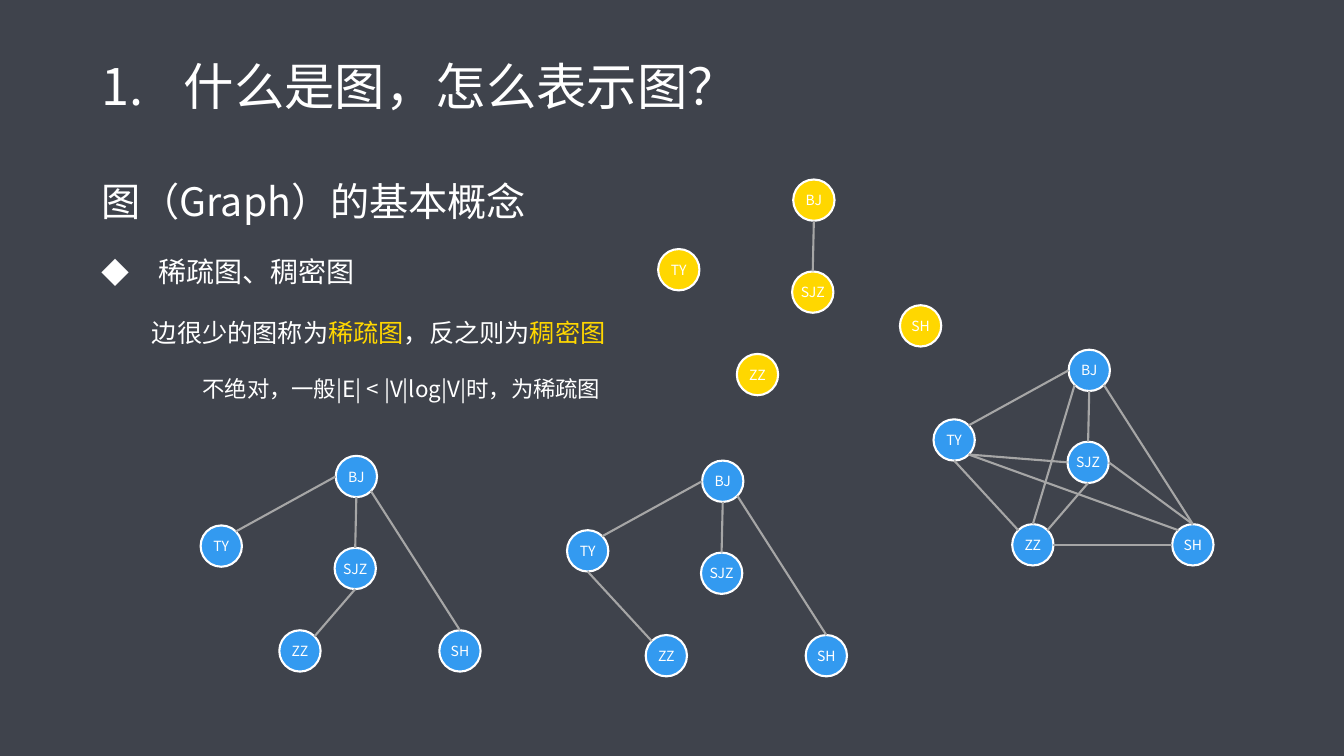
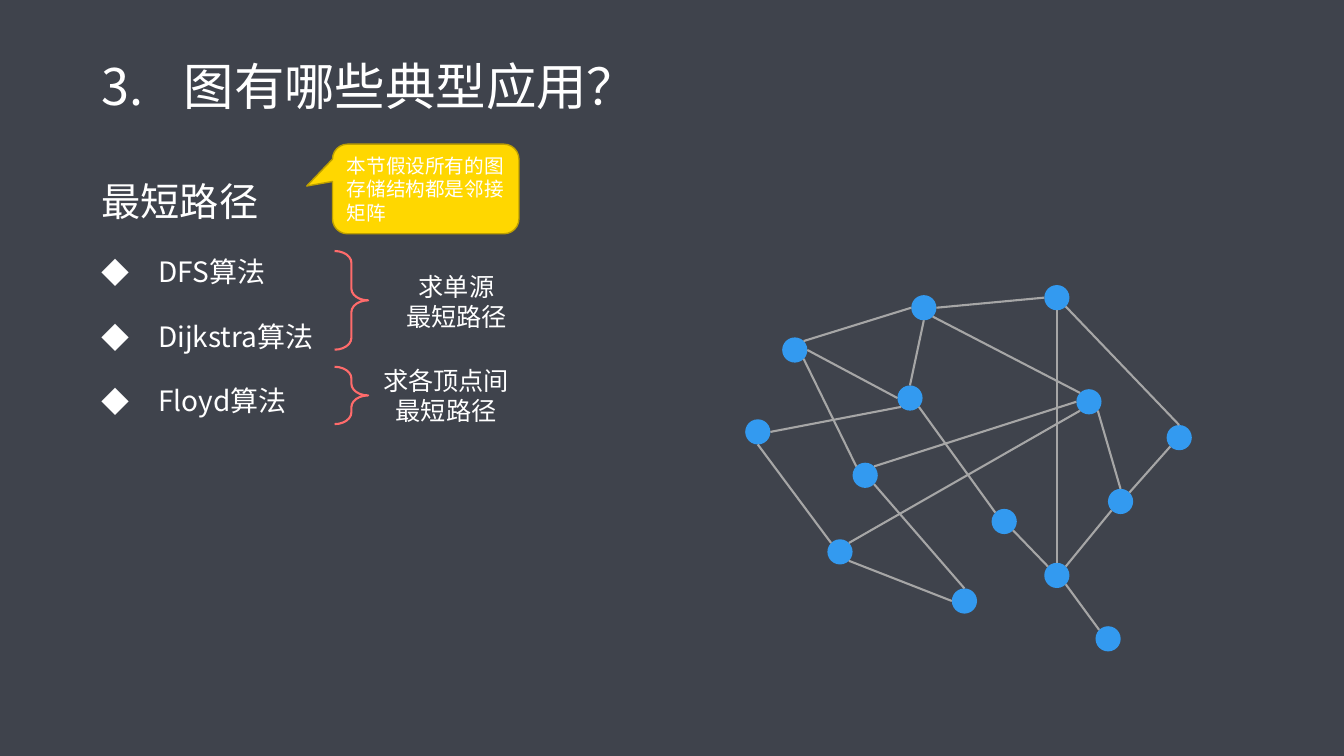
import math

from lxml import etree
from pptx import Presentation
from pptx.dml.color import RGBColor
from pptx.enum.shapes import MSO_CONNECTOR, MSO_SHAPE
from pptx.enum.text import MSO_ANCHOR, MSO_AUTO_SIZE, PP_ALIGN
from pptx.oxml.ns import qn
from pptx.util import Pt

STRAIGHT = MSO_CONNECTOR.STRAIGHT
OVAL = MSO_SHAPE.OVAL
BRACE = MSO_SHAPE.RIGHT_BRACE
CALLOUT = MSO_SHAPE.ROUNDED_RECTANGULAR_CALLOUT
MIDDLE = MSO_ANCHOR.MIDDLE
NO_AUTOFIT = MSO_AUTO_SIZE.NONE
LEFT, CENTER = PP_ALIGN.LEFT, PP_ALIGN.CENTER

FONT = "Noto Sans CJK SC"
COLORS = {
    "background": "3F434C",
    "text": "FFFFFF",
    "node": "339AF0",
    "highlight": "FFD700",
    "highlight_edge": "BD9F00",
    "edge": "A6A6A6",
    "brace": "FF6B6B",
}
TITLE_ONLY_LAYOUT = 5
LINE_WIDTH = 1.5
# Connection sites of an ellipse, in order
SITES = ["N", "NW", "W", "SW", "S", "SE", "E", "NE"]

# Paragraph styles of the body: size, left margin, first-line indent, bullet
BODY_STYLES = {
    "heading": (28, 0, 0, None),
    "item": (20, 40.5, -40.5, "◆"),
    "detail": (18, 36, 0, None),
    "remark": (16, 72, 0, None),
}

CITY_SIZE = 29.5
# Offsets from BJ
CITIES = {
    "TY": (-96.5, 49.7),
    "SJZ": (-0.8, 65.7),
    "BJ": (0, 0),
    "ZZ": (-40.3, 124.6),
    "SH": (74, 124.6),
}
# An edge reads: node, site, node, site
BJ_TREE = ["BJ W TY NE", "SJZ N BJ S", "SH N BJ SE"]
ZZ_SJZ = "ZZ NE SJZ S"
ZZ_TY = "ZZ NW TY S"
DENSE_EDGES = BJ_TREE + [
    ZZ_SJZ, ZZ_TY, "SJZ W TY SE", "SH N SJZ E",
    "ZZ E SH W", "ZZ N BJ SW", "TY SE SH NW",
]

NETWORK_NODE_SIZE = 18
NETWORK_NODES = {
    "A": (558.7, 241), "B": (532.3, 299.5), "C": (609, 330.5),
    "D": (745.9, 203.6), "E": (768.8, 278), "F": (791.4, 349.2),
    "G": (745.9, 402), "H": (641, 275.3), "I": (782.5, 447.3),
    "J": (591, 385.2), "K": (650.9, 210.8), "L": (833.3, 303.6),
    "M": (679.9, 420.3), "N": (708.3, 363.5),
}
NETWORK_EDGES = [
    "K W A NE", "C NW A SE", "E W C NE", "F N E SE", "L N D SE",
    "H SW B E", "J NE E SW", "H W A E", "G SE I NW", "G NE F SW",
    "F NE L SW", "G N D S", "G NW N SE", "M N C SE", "M W J SE",
    "J NW B S", "N NW H SE", "D W K E", "E NW K SE", "H N K S",
]


def rgb(name):
    return RGBColor.from_string(COLORS[name])


def points(*values):
    return [Pt(value) for value in values]


def format_font(paragraph, size):
    font = paragraph.font
    font.size = Pt(size)
    font.color.rgb = rgb("text")
    font.name = FONT
    properties = paragraph._p.get_or_add_pPr().find(qn("a:defRPr"))
    etree.SubElement(properties, qn("a:ea"), typeface=FONT)


def add_bullet(paragraph, tag, **attributes):
    properties = paragraph._p.get_or_add_pPr()
    bullet = properties.makeelement(qn(tag), attributes)
    properties.insert_element_before(bullet, "a:tabLst", "a:defRPr", "a:extLst")


def set_indent(paragraph, margin, indent):
    properties = paragraph._p.get_or_add_pPr()
    properties.set("marL", str(Pt(margin)))
    properties.set("indent", str(Pt(indent)))


def write_lines(text_frame, lines, size, alignment):
    text_frame.word_wrap = True
    text_frame.vertical_anchor = MIDDLE
    for index, line in enumerate(lines):
        paragraph = text_frame.paragraphs[0] if index == 0 else text_frame.add_paragraph()
        paragraph.text = line
        paragraph.alignment = alignment
        format_font(paragraph, size)


def add_titled_slide(presentation, number, text):
    slide = presentation.slides.add_slide(presentation.slide_layouts[TITLE_ONLY_LAYOUT])
    title = slide.shapes.title
    title.left, title.top, title.width, title.height = points(65.5, 21, 828, 85)
    write_lines(title.text_frame, [text], 36, LEFT)
    title.text_frame.auto_size = NO_AUTOFIT
    paragraph = title.text_frame.paragraphs[0]
    paragraph.line_spacing = 0.9
    set_indent(paragraph, 58.5, -58.5)
    add_bullet(paragraph, "a:buFont", typeface=FONT)
    add_bullet(paragraph, "a:buAutoNum", type="arabicPeriod", startAt=str(number))
    return slide


def add_body(slide, content):
    """Write (style, runs) pairs; a run is a string, or (string, color name)."""
    text_frame = slide.shapes.add_textbox(*points(65.5, 106, 828, 404.5)).text_frame
    text_frame.word_wrap = True
    for index, (style, runs) in enumerate(content):
        size, margin, indent, bullet = BODY_STYLES[style]
        paragraph = text_frame.paragraphs[0] if index == 0 else text_frame.add_paragraph()
        paragraph.level = list(BODY_STYLES).index(style)
        paragraph.line_spacing = 1.5
        paragraph.space_before = Pt(10)
        set_indent(paragraph, margin, indent)
        format_font(paragraph, size)
        if bullet:
            add_bullet(paragraph, "a:buFont", typeface=FONT)
            add_bullet(paragraph, "a:buChar", char=bullet)
        for part in runs:
            text, color = (part, None) if isinstance(part, str) else part
            run = paragraph.add_run()
            run.text = text
            if color:
                run.font.color.rgb = rgb(color)


def add_shape(shapes, kind, box, fill=None, line=None, line_width=LINE_WIDTH):
    shape = shapes.add_shape(kind, *points(*box))
    shape.shadow.inherit = False
    if fill:
        shape.fill.solid()
        shape.fill.fore_color.rgb = rgb(fill)
    else:
        shape.fill.background()
    if line:
        shape.line.color.rgb = rgb(line)
        shape.line.width = Pt(line_width)
    else:
        shape.line.fill.background()
    return shape


def site_position(node, site):
    angle = math.radians(90 + 45 * SITES.index(site))
    radius = node.width / 2
    return (round(node.left + radius + radius * math.cos(angle)),
            round(node.top + radius - radius * math.sin(angle)))


def add_edge(shapes, start, start_site, end, end_site):
    """Join two nodes with a line that stays attached to both."""
    connector = shapes.add_connector(
        STRAIGHT, *site_position(start, start_site), *site_position(end, end_site))
    connector.line.color.rgb = rgb("edge")
    connector.line.width = Pt(LINE_WIDTH)
    etree.SubElement(connector._element.spPr, qn("a:effectLst"))
    attachment = connector._element.find(".//" + qn("p:cNvCxnSpPr"))
    for tag, node, site in (("a:stCxn", start, start_site), ("a:endCxn", end, end_site)):
        etree.SubElement(attachment, qn(tag), id=str(node.shape_id), idx=str(SITES.index(site)))


def add_graph(slide, positions, edges, size, fill="node", line=None, origin=(0, 0), labeled=False):
    shapes = slide.shapes.add_group_shape().shapes
    nodes = {}
    for name, (x, y) in positions.items():
        box = (origin[0] + x, origin[1] + y, size, size)
        node = nodes[name] = add_shape(shapes, OVAL, box, fill, line)
        if labeled:
            frame = node.text_frame
            frame.margin_left = frame.margin_right = frame.margin_top = frame.margin_bottom = 0
            write_lines(frame, [name], 10, CENTER)
    for edge in edges:
        start, start_site, end, end_site = edge.split()
        add_edge(shapes, nodes[start], start_site, nodes[end], end_site)


def add_city_graph(slide, origin, edges, fill="node", positions=CITIES):
    add_graph(slide, positions, edges, CITY_SIZE, fill, "text", origin, labeled=True)


def add_braced_label(slide, brace_box, label_box, lines):
    shapes = slide.shapes.add_group_shape().shapes
    brace = add_shape(shapes, BRACE, brace_box, line="brace")
    brace.adjustments[0] = 0.35
    label = shapes.add_textbox(*points(*label_box))
    write_lines(label.text_frame, lines, 18, CENTER)


def add_callout(slide, box, text):
    callout = add_shape(slide.shapes, CALLOUT, box, "highlight", "highlight_edge", 1)
    for index, value in enumerate((-0.638, -0.033, 0.167)):
        callout.adjustments[index] = value
    write_lines(callout.text_frame, [text], 14, LEFT)


def build_density_slide(presentation):
    slide = add_titled_slide(presentation, 1, "什么是图，怎么表示图？")
    add_body(slide, [
        ("heading", ["图（Graph）的基本概念"]),
        ("item", ["稀疏图、稠密图"]),
        ("detail", ["边很少的图称为", ("稀疏图", "highlight"),
                    "，反之则为", ("稠密图", "highlight")]),
        ("remark", ["不绝对，一般|E| < |V|log|V|时，为稀疏图"]),
    ])
    add_city_graph(slide, (763.3, 249.8), DENSE_EDGES)
    add_city_graph(slide, (501.5, 329), BJ_TREE + [ZZ_TY])
    add_city_graph(slide, (239.8, 325.6), BJ_TREE + [ZZ_SJZ])
    add_city_graph(slide, (566.6, 128.2), ["SJZ N BJ S"], "highlight",
                   {**CITIES, "SH": (76.2, 89.8)})


def build_shortest_path_slide(presentation):
    slide = add_titled_slide(presentation, 3, "图有哪些典型应用？")
    add_body(slide, [
        ("heading", ["最短路径"]),
        ("item", ["DFS算法"]),
        ("item", ["Dijkstra算法"]),
        ("item", ["Floyd算法"]),
    ])
    add_graph(slide, NETWORK_NODES, NETWORK_EDGES, NETWORK_NODE_SIZE)
    add_braced_label(slide, (239, 179.3, 24, 70.5), (266.4, 190, 119.5, 51),
                     ["求单源", "最短路径"])
    add_braced_label(slide, (239, 262, 24, 41), (266.4, 257, 104.4, 51),
                     ["求各顶点间", "最短路径"])
    add_callout(slide, (237.5, 103, 133.2, 64), "本节假设所有的图存储结构都是邻接矩阵")


def main():
    presentation = Presentation()
    presentation.slide_width, presentation.slide_height = points(960, 540)
    background = presentation.slide_master.background.fill
    background.solid()
    background.fore_color.rgb = rgb("background")
    build_density_slide(presentation)
    build_shortest_path_slide(presentation)
    presentation.save("out.pptx")


if __name__ == "__main__":
    main()
